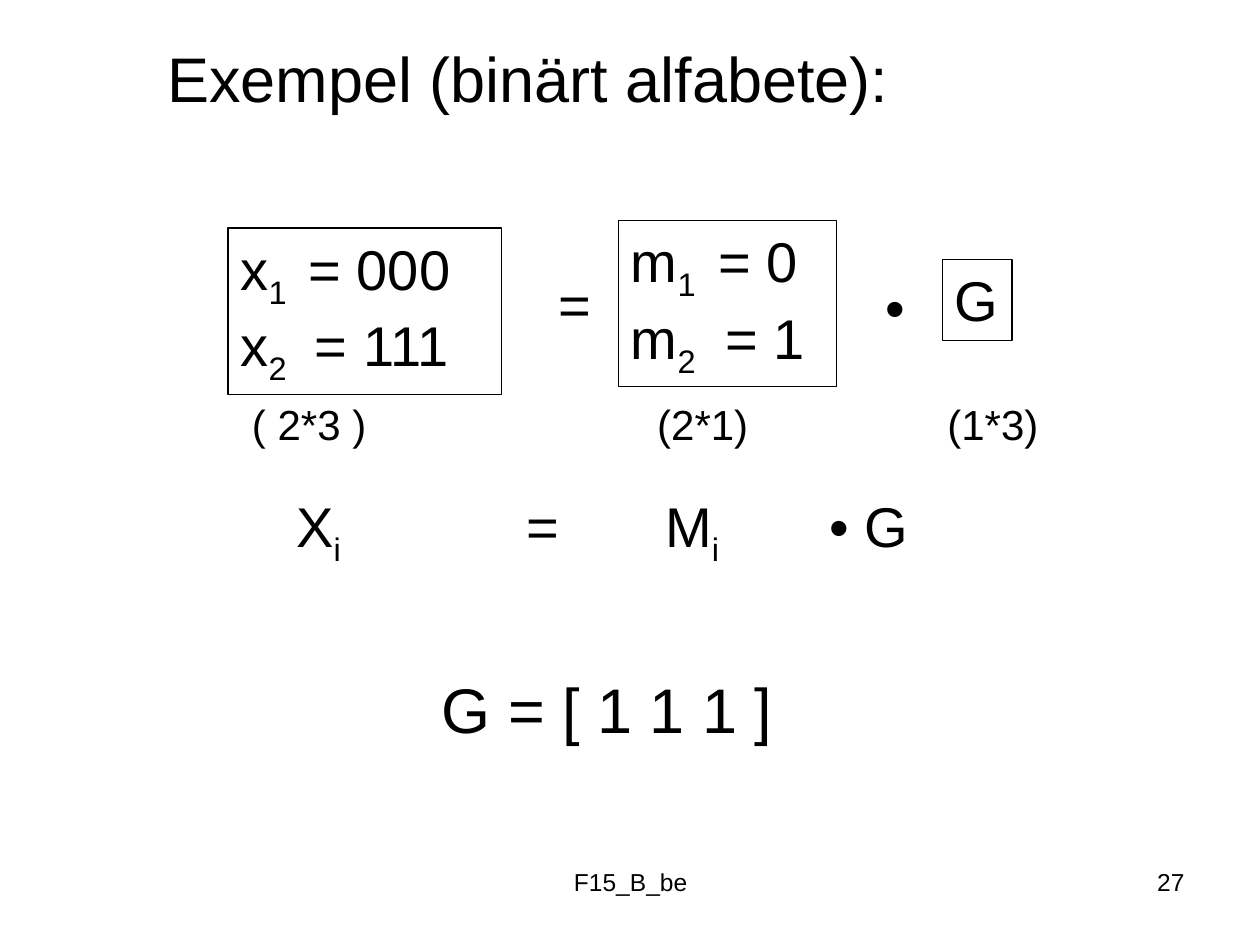
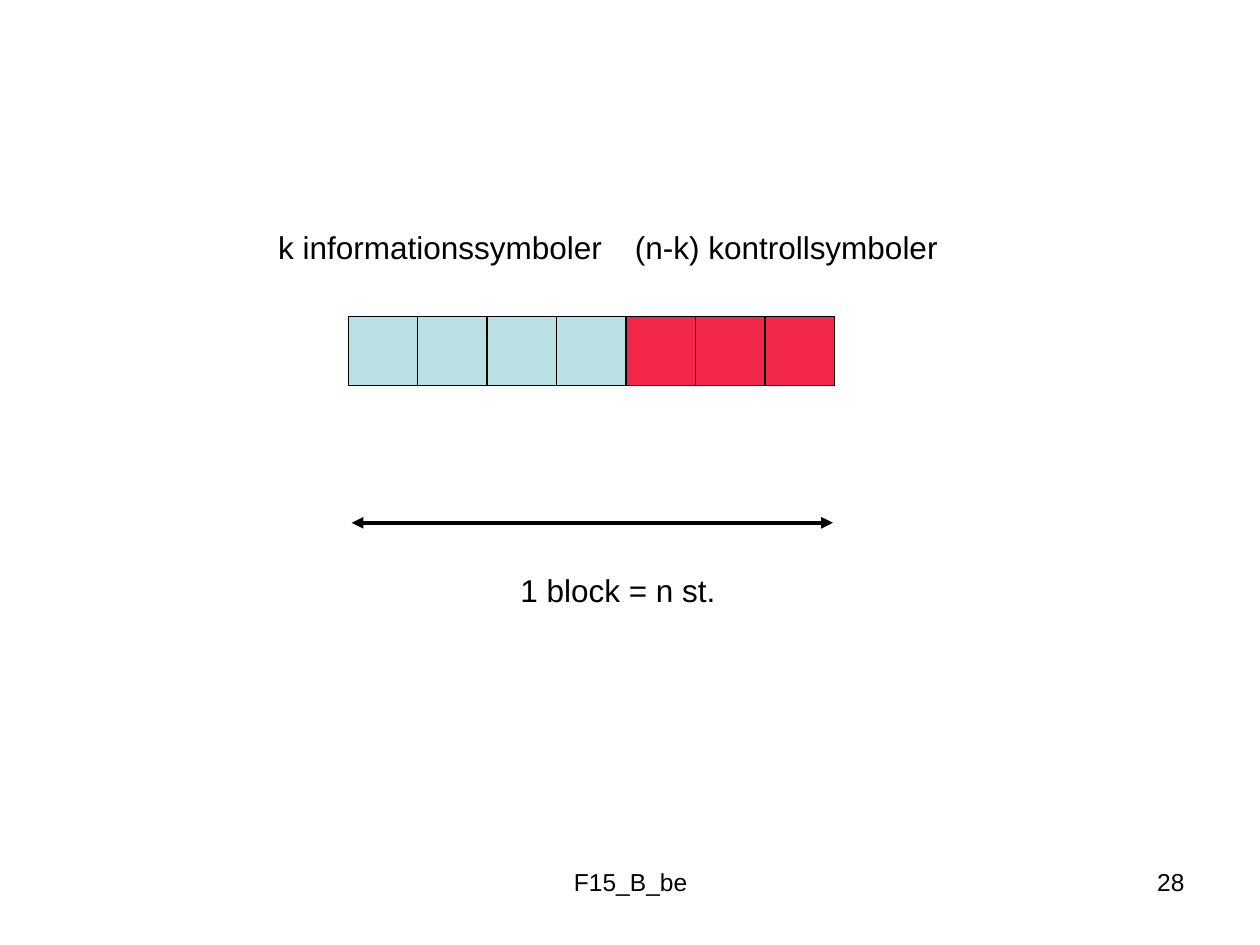
"""Build two slides on block codes: a binary generator example and the block layout."""
import pptx
import pptx.dml.color
import pptx.enum.shapes
import pptx.enum.text
import pptx.oxml.ns
import pptx.util
from lxml import etree

Cm = pptx.util.Cm
Pt = pptx.util.Pt
ALIGN = pptx.enum.text.PP_ALIGN

COLORS = {"ink": "000000", "information": "BBE0E3", "control": "F32749"}
FONT = "Arial"
FOOTER = "F15_B_be"
FIRST_NUMBER = 27
SUBSCRIPT = "-25000"

TITLE = "Exempel (binärt alfabete):"
MATRICES = [
    ((4.6, 4.6, 5.51, 3.35), "x|1|\t= 000\nx|2|\t= 111", (1.37, 1.5)),
    ((12.47, 4.45, 4.39, 3.35), "m|1|\t= 0\nm|2|\t= 1", (1.77, 1.9)),
    ((19, 5.23, 1.4, 1.63), "G", ()),
]
OPERATORS = [(11, 5.31, "="), (17.6, 5.36, "•")]
DIMENSIONS_TOP = 7.9
DIMENSIONS = [(4.83, "( 2*3 )"), (13, "(2*1)"), (18.85, "(1*3)")]
EQUATION_TOP = 9.78
EQUATION = [(5.72, "X|i|"), (10.36, "="), (13.16, "M|i|"), (16.48, "• G")]
GENERATOR = "G = [ 1 1 1 ]"

SYMBOLS = ["information"] * 4 + ["control"] * 3
SYMBOL_SIZE, SYMBOLS_LEFT, SYMBOLS_TOP = 1.4, 7.02, 6.38
BLOCK_LABELS = [
    (5.36, 4.47, "k informationssymboler"),
    (12.55, 4.47, "(n-k) kontrollsymboler"),
    (10.24, 11.38, "1 block = n st."),
]
ARROW_LEFT, ARROW_RIGHT, ARROW_TOP = 7.09, 16.79, 10.54


def color(name):
    """Return the named colour."""
    return pptx.dml.color.RGBColor.from_string(COLORS[name])


def place(shape, left, top, width, height):
    """Move and size a shape in centimetres."""
    shape.left, shape.top, shape.width, shape.height = map(Cm, (left, top, width, height))


def write(frame, text, size=32, align=ALIGN.LEFT, tabs=()):
    """Write lines of text, with subscripts between bars."""
    frame.word_wrap = True
    frame.auto_size = pptx.enum.text.MSO_AUTO_SIZE.NONE
    frame.vertical_anchor = pptx.enum.text.MSO_ANCHOR.TOP
    for index, line in enumerate(text.split("\n")):
        para = frame.add_paragraph() if index else frame.paragraphs[0]
        para.alignment = align
        if tabs:
            stops = etree.SubElement(para._p.get_or_add_pPr(), pptx.oxml.ns.qn("a:tabLst"))
            etree.SubElement(stops, pptx.oxml.ns.qn("a:tab"), pos=str(Cm(tabs[index])), algn="l")
        for position, part in enumerate(line.split("|")):
            if not part:
                continue
            span = para.add_run()
            span.text = part
            span.font.name = FONT
            span.font.size = Pt(size)
            span.font.color.rgb = color("ink")
            if position % 2:
                span._r.get_or_add_rPr().set("baseline", SUBSCRIPT)


def add_text(page, text, left, top, width=4, height=1.63, **style):
    """Add a text box."""
    box = page.shapes.add_textbox(0, 0, 0, 0)
    place(box, left, top, width, height)
    write(box.text_frame, text, **style)
    return box


def outline(shape):
    """Give a shape a thin dark outline."""
    shape.line.color.rgb = color("ink")
    shape.line.width = Pt(0.75)


def add_page(deck, layout):
    """Add a slide with its footer and number."""
    page = deck.slides.add_slide(deck.slide_layouts[layout])
    number = FIRST_NUMBER + len(deck.slides) - 1
    add_text(page, FOOTER, 8.69, 17.35, 8.05, 1.32, size=14, align=ALIGN.CENTER)
    add_text(page, str(number), 18.21, 17.35, 5.92, 1.32, size=14, align=ALIGN.RIGHT)
    return page


def build_example(deck):
    """Build the binary alphabet example."""
    page = add_page(deck, 5)
    title = page.shapes.title
    place(title, 3.12, 0.66, 16, 1.78)
    write(title.text_frame, TITLE, size=36)
    for bounds, text, tabs in MATRICES:
        outline(add_text(page, text, *bounds, tabs=tabs))
    for left, top, text in OPERATORS:
        add_text(page, text, left, top, 1.2)
    for left, text in DIMENSIONS:
        add_text(page, text, left, DIMENSIONS_TOP, height=1.27, size=24)
    for left, text in EQUATION:
        add_text(page, text, left, EQUATION_TOP, 2.8, 1.8)
    add_text(page, GENERATOR, 8.66, 13.39, 8, 1.78, size=36)


def build_block(deck):
    """Build the block of information and control symbols."""
    page = add_page(deck, 6)
    for index, kind in enumerate(SYMBOLS):
        square = page.shapes.add_shape(pptx.enum.shapes.MSO_SHAPE.RECTANGLE, 0, 0, 0, 0)
        place(square, SYMBOLS_LEFT + index * SYMBOL_SIZE, SYMBOLS_TOP, SYMBOL_SIZE, SYMBOL_SIZE)
        square.shadow.inherit = False
        square.fill.solid()
        square.fill.fore_color.rgb = color(kind)
        outline(square)
    for left, top, text in BLOCK_LABELS:
        add_text(page, text, left, top, 8, 1.02, size=18)
    arrow = page.shapes.add_connector(
        pptx.enum.shapes.MSO_CONNECTOR.STRAIGHT,
        Cm(ARROW_LEFT), Cm(ARROW_TOP), Cm(ARROW_RIGHT), Cm(ARROW_TOP))
    arrow.line.color.rgb = color("ink")
    arrow.line.width = Pt(2.25)
    for end in ("a:headEnd", "a:tailEnd"):
        etree.SubElement(arrow.line._get_or_add_ln(), pptx.oxml.ns.qn(end), type="triangle")
    etree.SubElement(arrow._element.spPr, pptx.oxml.ns.qn("a:effectLst"))


def main():
    """Build and save the deck."""
    deck = pptx.Presentation()
    deck.slide_width, deck.slide_height = Cm(25.4), Cm(19.05)
    build_example(deck)
    build_block(deck)
    deck.save("out.pptx")


if __name__ == "__main__":
    main()
